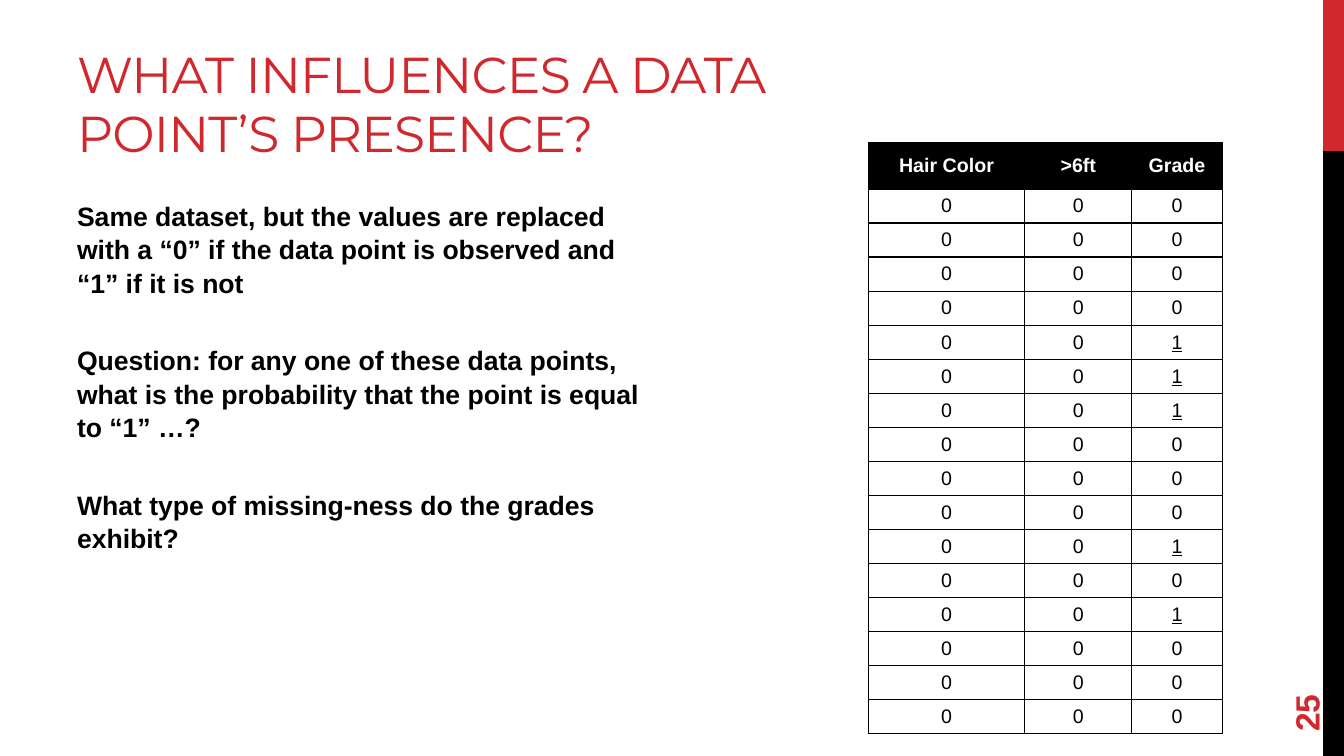
from lxml.etree import SubElement
from pptx import Presentation
from pptx.dml.color import RGBColor
from pptx.enum.shapes import MSO_SHAPE
from pptx.enum.text import MSO_ANCHOR, PP_ALIGN
from pptx.oxml.ns import qn
from pptx.util import Emu, Pt

EMU_PER_PX = 9525
RED = RGBColor(0xD1, 0x28, 0x2E)
BLACK = RGBColor(0, 0, 0)
WHITE = RGBColor(255, 255, 255)

HEADINGS = ["Hair Color", ">6ft", "Grade"]
COLUMN_WIDTHS = [149, 102, 86]
STUDENTS = 16
MISSING_GRADES = {5, 6, 7, 11, 13}
HEADER_HEIGHT = 44
ROW_HEIGHT = 30

TITLE = "WHAT INFLUENCES A DATA POINT’S PRESENCE?"
QUESTIONS = [
    "Same dataset, but the values are replaced with a “0” if the data point "
    "is observed and “1” if it is not",
    "Question: for any one of these data points, what is the probability "
    "that the point is equal to “1” …?",
    "What type of missing-ness do the grades exhibit?",
]


def px(length):
    return Emu(length * EMU_PER_PX)


def write(frame, paragraphs, size, color, font="Arial", bold=False,
          underline=False, align=PP_ALIGN.LEFT, line_spacing=1.0, gap=0,
          tracking=0):
    for index, text in enumerate(paragraphs):
        paragraph = frame.paragraphs[0] if index == 0 else frame.add_paragraph()
        paragraph.alignment = align
        paragraph.line_spacing = line_spacing
        paragraph.space_before = Pt(gap if index else 0)
        paragraph.space_after = Pt(0)
        run = paragraph.add_run()
        run.text = text
        run.font.name = font
        run.font.size = Pt(size)
        run.font.bold = bold
        run.font.underline = underline
        run.font.color.rgb = color
        if tracking:
            run.font._element.set("spc", str(tracking))


def add_text(slide, left, top, width, height, paragraphs,
             anchor=MSO_ANCHOR.TOP, rotation=0, **text_format):
    box = slide.shapes.add_textbox(px(left), px(top), px(width), px(height))
    box.rotation = rotation
    box.text_frame.word_wrap = True
    box.text_frame.vertical_anchor = anchor
    write(box.text_frame, paragraphs, **text_format)


def add_bar(slide, left, top, width, height, color):
    bar = slide.shapes.add_shape(
        MSO_SHAPE.RECTANGLE, px(left), px(top), px(width), px(height))
    bar.shadow.inherit = False
    bar.fill.solid()
    bar.fill.fore_color.rgb = color
    bar.line.fill.background()


def add_borders(cell, color, width):
    properties = cell._tc.get_or_add_tcPr()
    for side in ("lnL", "lnR", "lnT", "lnB"):
        border = SubElement(properties, qn(f"a:{side}"), w=str(Pt(width)))
        fill = SubElement(border, qn("a:solidFill"))
        SubElement(fill, qn("a:srgbClr"), val=str(color))


def fill_cell(cell, text, is_header):
    cell.margin_left = cell.margin_right = 0
    cell.margin_top = cell.margin_bottom = px(5)
    cell.vertical_anchor = MSO_ANCHOR.MIDDLE
    add_borders(cell, BLACK, 0.96)
    if is_header:
        cell.fill.solid()
        cell.fill.fore_color.rgb = BLACK
    else:
        cell.fill.background()
    write(cell.text_frame, [text], size=14,
          color=WHITE if is_header else BLACK, bold=is_header,
          underline=text == "1", align=PP_ALIGN.CENTER)


def add_missingness_table(slide, left, top):
    records = [HEADINGS] + [
        ["0", "0", "1" if student in MISSING_GRADES else "0"]
        for student in range(1, STUDENTS + 1)
    ]
    heights = [HEADER_HEIGHT] + [ROW_HEIGHT] * STUDENTS
    table = slide.shapes.add_table(
        len(records), len(HEADINGS), px(left), px(top),
        px(sum(COLUMN_WIDTHS)), px(sum(heights))).table
    table.horz_banding = False
    for column, width in zip(table.columns, COLUMN_WIDTHS):
        column.width = px(width)
    for row_index, record in enumerate(records):
        table.rows[row_index].height = px(heights[row_index])
        for column_index, text in enumerate(record):
            fill_cell(table.cell(row_index, column_index), text, row_index == 0)


def main():
    presentation = Presentation()
    presentation.slide_width = px(1280)
    presentation.slide_height = px(720)
    slide = presentation.slides.add_slide(presentation.slide_layouts[6])

    add_bar(slide, 1260, 0, 20, 144, RED)
    add_bar(slide, 1260, 144, 20, 576, BLACK)
    add_text(slide, 64, 16, 810, 145, [TITLE], anchor=MSO_ANCHOR.BOTTOM,
             size=36, color=RED, font="Montserrat", line_spacing=0.97,
             tracking=-60)
    add_text(slide, 64, 184, 576, 459, QUESTIONS, size=19, color=BLACK,
             bold=True, line_spacing=1.05, gap=31.5)
    add_missingness_table(slide, 827, 136)
    add_text(slide, 1175, 612, 138, 51, ["25"], anchor=MSO_ANCHOR.MIDDLE,
             rotation=270, size=24, color=RED, bold=True)

    presentation.save("out.pptx")


if __name__ == "__main__":
    main()
